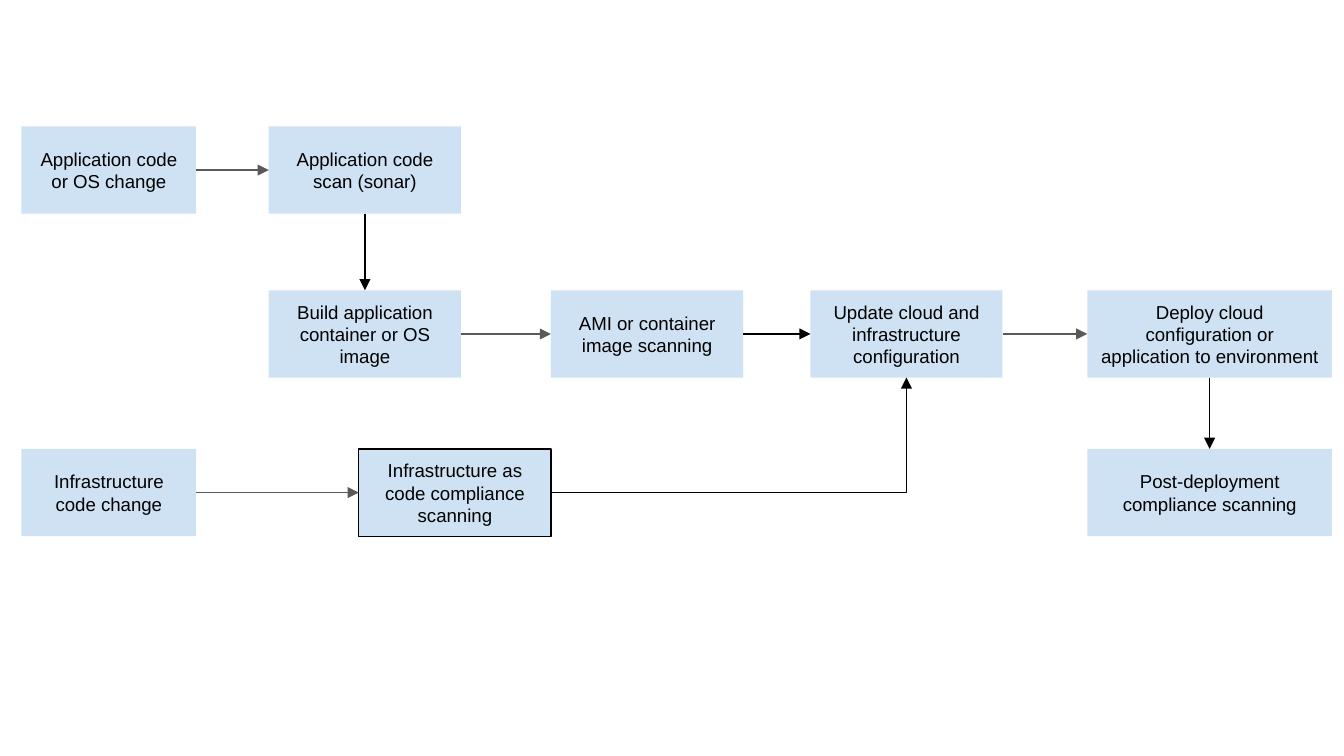
import pptx
import pptx.util
import pptx.dml.color
import pptx.enum.shapes
import pptx.enum.text
import pptx.oxml.ns
from lxml import etree

Inches, Pt = pptx.util.Inches, pptx.util.Pt
RGBColor = pptx.dml.color.RGBColor
Link = pptx.enum.shapes.MSO_CONNECTOR
qn = pptx.oxml.ns.qn

BLUE = RGBColor(0xCF, 0xE2, 0xF3)
BLACK = RGBColor(0, 0, 0)
GRAY = RGBColor(0x59, 0x59, 0x59)

# Connection sites of a rectangle
TOP, LEFT, BOTTOM, RIGHT = range(4)

# Rows, box height and box widths, in inches
ROWS = (0.94, 2.16, 3.34)
HIGH = 0.65
SMALL, MID, WIDE = 1.3, 1.43, 1.82

# Name: left, row, width, text
STEPS = {
    "change": (0.16, 0, SMALL, "Application code or OS change"),
    "scan": (2, 0, MID, "Application code scan (sonar)"),
    "build": (2, 1, MID, "Build application container or OS image"),
    "image": (4.1, 1, MID, "AMI or container image scanning"),
    "update": (6.03, 1, MID, "Update cloud and infrastructure configuration"),
    "deploy": (8.09, 1, WIDE,
               "Deploy cloud configuration or application to environment"),
    "infra": (0.16, 2, SMALL, "Infrastructure code change"),
    "comply": (2.67, 2, MID, "Infrastructure as code compliance scanning"),
    "post": (8.09, 2, WIDE, "Post-deployment compliance scanning"),
}

# From, site, to, site, kind, colour
ARROWS = [
    ("change", RIGHT, "scan", LEFT, Link.ELBOW, GRAY),
    ("scan", BOTTOM, "build", TOP, Link.STRAIGHT, BLACK),
    ("build", RIGHT, "image", LEFT, Link.ELBOW, GRAY),
    ("image", RIGHT, "update", LEFT, Link.STRAIGHT, BLACK),
    ("update", RIGHT, "deploy", LEFT, Link.ELBOW, GRAY),
    ("infra", RIGHT, "comply", LEFT, Link.ELBOW, GRAY),
    ("comply", RIGHT, "update", BOTTOM, Link.ELBOW, BLACK),
    ("deploy", BOTTOM, "post", TOP, Link.STRAIGHT, BLACK),
]


def add_step(slide, left, top, width, text):
    box = slide.shapes.add_shape(
        pptx.enum.shapes.MSO_SHAPE.RECTANGLE,
        Inches(left), Inches(top), Inches(width), Inches(HIGH))
    box.shadow.inherit = False
    box.fill.solid()
    box.fill.fore_color.rgb = BLUE
    box.line.fill.background()
    frame = box.text_frame
    frame.word_wrap = True
    frame.vertical_anchor = pptx.enum.text.MSO_ANCHOR.MIDDLE
    frame.margin_left = frame.margin_right = Inches(0.1)
    frame.margin_top = frame.margin_bottom = Inches(0.1)
    para = frame.paragraphs[0]
    para.alignment = pptx.enum.text.PP_ALIGN.CENTER
    run = para.add_run()
    run.text = text
    run.font.name = "Arial"
    run.font.size = Pt(10)
    run.font.color.rgb = BLACK
    return box


def add_arrow(slide, start, out, end, into, kind, color):
    line = slide.shapes.add_connector(kind, 0, 0, 0, 0)
    line.begin_connect(start, out)
    line.end_connect(end, into)
    line.line.color.rgb = color
    line.line.width = Pt(0.75)
    props = line._element.spPr
    # A turn from sideways to upright has a single corner
    if (out, into) == (RIGHT, BOTTOM):
        props.find(qn("a:prstGeom")).set("prst", "bentConnector2")
    etree.SubElement(props.find(qn("a:ln")), qn("a:tailEnd"), type="triangle")
    etree.SubElement(props, qn("a:effectLst"))


def add_flow(slide):
    # Boxes
    boxes = {name: add_step(slide, left, ROWS[row], width, text)
             for name, (left, row, width, text) in STEPS.items()}
    # The compliance step is outlined
    edge = boxes["comply"].line
    edge.color.rgb = BLACK
    edge.width = Pt(0.75)
    # Arrows
    for start, out, end, into, kind, color in ARROWS:
        add_arrow(slide, boxes[start], out, boxes[end], into, kind, color)


# A wide slide, 16 to 9
deck = pptx.Presentation()
deck.slide_width = Inches(10)
deck.slide_height = Inches(10 * 9 / 16)
add_flow(deck.slides.add_slide(deck.slide_layouts[6]))
deck.save("out.pptx")
